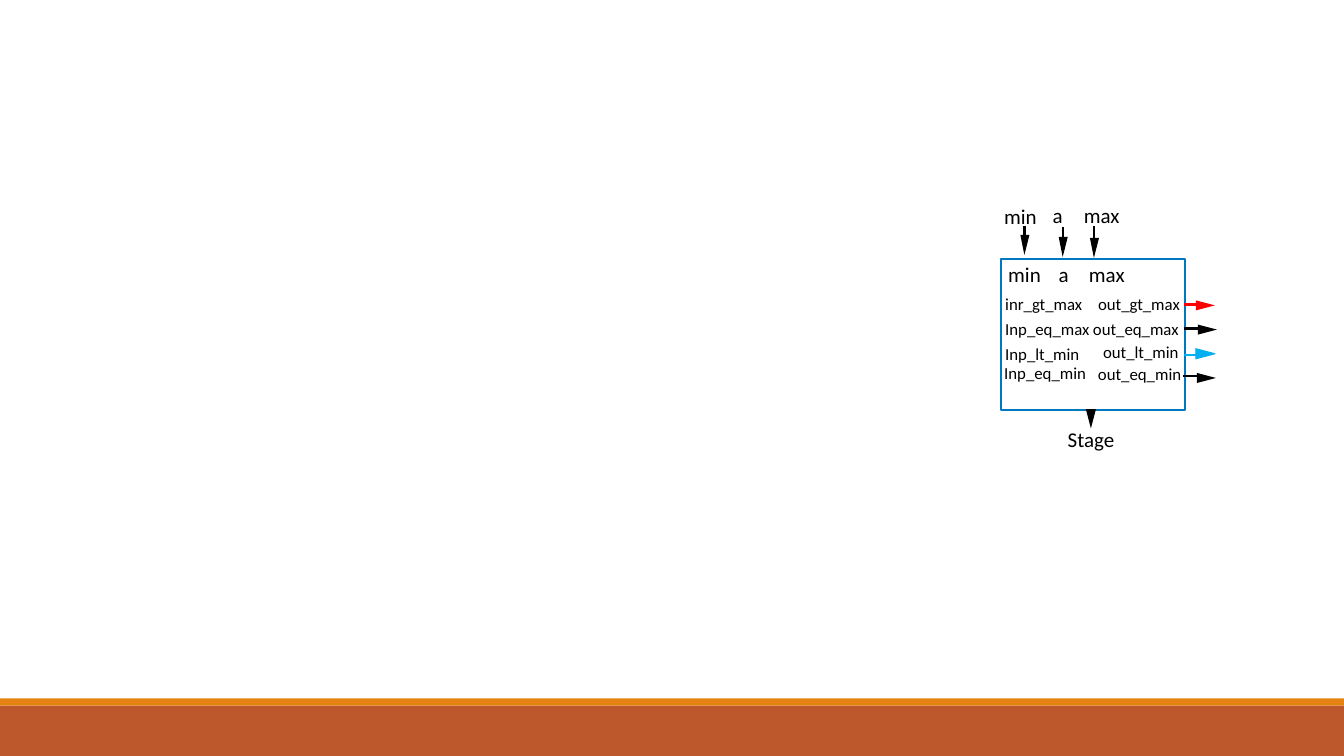
from pptx import Presentation
from pptx.dml.color import RGBColor
from pptx.enum.shapes import MSO_CONNECTOR as LINK, MSO_SHAPE as SHAPE
from pptx.enum.text import MSO_AUTO_SIZE as FIT
from pptx.oxml.ns import qn
from pptx.util import Inches, Pt
from lxml import etree

BLACK = RGBColor(0x00, 0x00, 0x00)
RED = RGBColor(0xFF, 0x00, 0x00)
SKY = RGBColor(0x00, 0xB0, 0xF0)
BLUE = RGBColor(0x00, 0x78, 0xC1)
RUST = RGBColor(0xBD, 0x58, 0x2C)
AMBER = RGBColor(0xE4, 0x83, 0x12)

deck = Presentation()
deck.slide_width, deck.slide_height = Inches(13.33), Inches(7.5)
shapes = deck.slides.add_slide(deck.slide_layouts[6]).shapes


def add_stem(x1, y1, x2, y2, color):
    stem = shapes.add_connector(
        LINK.STRAIGHT, Inches(x1), Inches(y1), Inches(x2), Inches(y2))
    stem.line.color.rgb = color
    stem.line.width = Pt(1.63)
    etree.SubElement(stem._element.spPr, qn("a:effectLst"))


def add_head(tip, left, right, color):
    """Draw a filled triangle from its tip and the two corners of its base."""
    tip, left, right = [(Inches(x), Inches(y)) for x, y in (tip, left, right)]
    pen = shapes.build_freeform(*tip)
    pen.add_line_segments([left, right], close=True)
    head = pen.convert_to_shape()
    head.shadow.inherit = False
    head.fill.solid()
    head.fill.fore_color.rgb = color
    if color == SKY:
        head.line.color.rgb = color
        head.line.width = Pt(0.75)
    else:
        head.line.fill.background()


# Footer bars
for top, height, color in ((7, 0.5, RUST), (6.93, 0.07, AMBER)):
    bar = shapes.add_shape(
        SHAPE.RECTANGLE, 0, Inches(top), deck.slide_width, Inches(height))
    bar.shadow.inherit = False
    bar.fill.solid()
    bar.fill.fore_color.rgb = color
    bar.line.fill.background()

# Stage block
block = shapes.add_shape(
    SHAPE.RECTANGLE, Inches(9.93), Inches(2.57), Inches(1.82), Inches(1.5))
block.shadow.inherit = False
block.fill.background()
block.line.color.rgb = BLUE
block.line.width = Pt(1.25)

# Inputs from above: centre, top of stem, top of head
for x, top, base in ((10.16, 2.24, 2.33), (10.54, 2.25, 2.35), (10.85, 2.24, 2.36)):
    add_stem(x, top, x, top + 0.15, BLACK)
    add_head((x, base + 0.2), (x + 0.05, base), (x - 0.04, base), BLACK)

# Outputs to the right: stem start, stem height, head start, head middle
for x, y, base, mid, color in (
    (11.74, 3.02, 11.86, 3.03, RED),
    (11.74, 3.26, 11.88, 3.27, BLACK),
    (11.74, 3.52, 11.86, 3.51, SKY),
    (11.73, 3.73, 11.87, 3.75, BLACK),
):
    add_stem(x, y, x + 0.15, y, color)
    add_head((base + 0.19, mid), (base, mid - 0.05), (base, mid + 0.05), color)

# Output below
add_head((10.82, 4.25), (10.87, 4.06), (10.77, 4.06), BLACK)

# Labels by text size: text, left, top, width
LABELS = {
    15: (
        ("min", 9.96, 2.02, 0.33),
        ("a", 10.44, 2.01, 0.1),
        ("max", 10.75, 2.01, 0.36),
        ("min", 10, 2.59, 0.33),
        ("a", 10.5, 2.59, 0.12),
        ("max", 10.8, 2.59, 0.36),
        ("Stage", 10.59, 4.23, 0.47),
    ),
    12: (
        ("inr_gt_max", 9.97, 2.91, 0.77),
        ("Inp_eq_max", 9.97, 3.16, 0.84),
        ("Inp_lt_min", 9.97, 3.41, 0.74),
        ("Inp_eq_min", 9.96, 3.6, 0.82),
        ("out_gt_max", 10.89, 2.91, 0.82),
        ("out_eq_max", 10.84, 3.16, 0.86),
        ("out_lt_min", 10.94, 3.39, 0.76),
        ("out_eq_min", 10.89, 3.61, 0.83),
    ),
}
FRAME = dict(margin_left=0, margin_top=0, margin_right=0, margin_bottom=0,
             word_wrap=False, auto_size=FIT.SHAPE_TO_FIT_TEXT)
for size, labels in LABELS.items():
    for text, left, top, width in labels:
        box = shapes.add_textbox(
            Inches(left), Inches(top), Inches(width), Inches(size / 60))
        frame = box.text_frame
        for name, value in FRAME.items():
            setattr(frame, name, value)
        frame.text = text
        font = frame.paragraphs[0].runs[0].font
        for name, value in dict(name="Calibri", size=Pt(size)).items():
            setattr(font, name, value)
        font.color.rgb = BLACK

deck.save("out.pptx")
